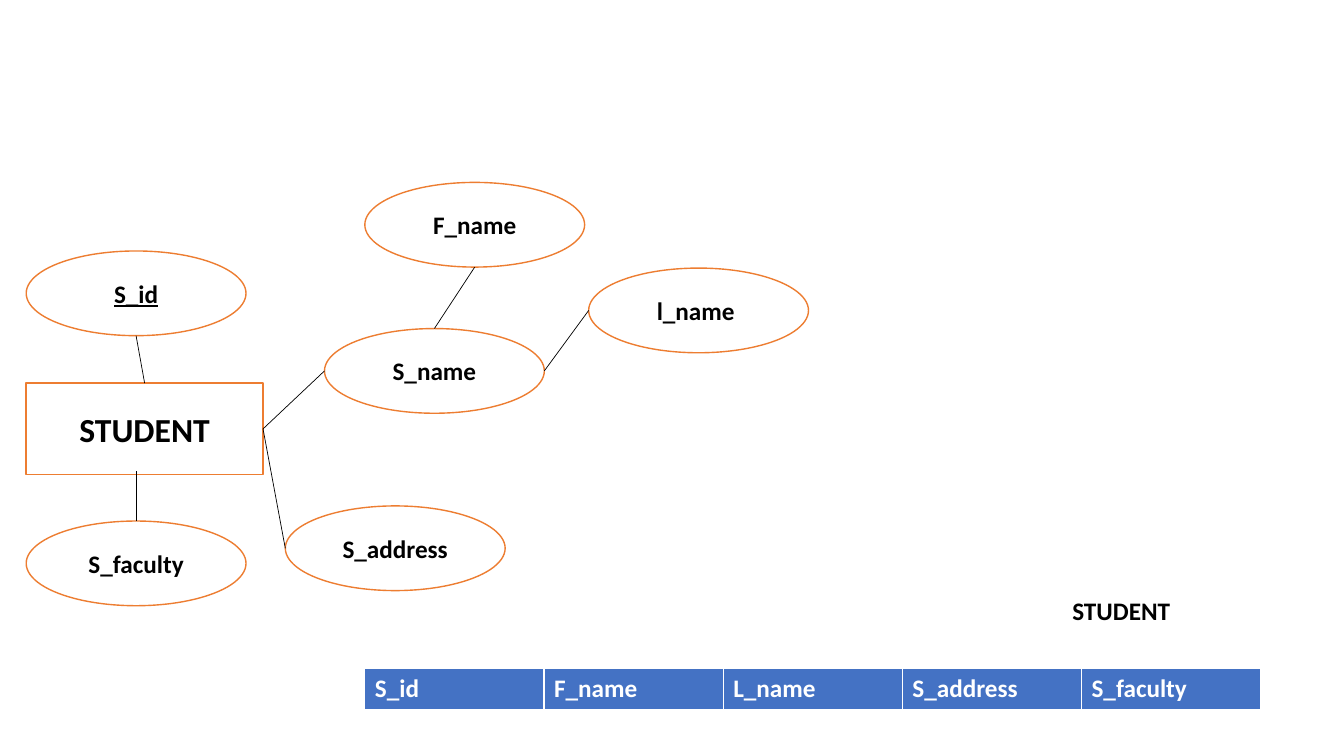
"""Build a slide with a STUDENT entity diagram and its relation table."""
from lxml.etree import SubElement
from pptx import Presentation
from pptx.dml.color import RGBColor
from pptx.enum.shapes import MSO_CONNECTOR, MSO_SHAPE
from pptx.enum.text import MSO_ANCHOR, MSO_AUTO_SIZE, PP_ALIGN
from pptx.oxml.ns import qn
from pptx.util import Pt

COLORS = {"black": "000000", "white": "FFFFFF", "orange": "ED7D31", "blue": "4472C4"}
FONT = "Calibri"
OVAL_W, OVAL_H = 157, 60.5
ATTRIBUTES = {
    "S_id": (18.7, 179.3),
    "S_name": (231.8, 234.7),
    "S_faculty": (18.7, 372.2),
    "S_address": (203.8, 361.4),
    "F_name": (260.6, 130.3),
    "l_name ": (420.5, 191.5),
}
COLUMNS = ["S_id", "F_name", "L_name", "S_address", "S_faculty"]
TOP, BOTTOM, LEFT, RIGHT = (0.5, 0), (0.5, 1), (0, 0.5), (1, 0.5)


def rgb(name):
    return RGBColor.from_string(COLORS[name])


def write(tf, text, size=18, color="black", align=None, underline=None):
    p = tf.paragraphs[0]
    p.text = text
    p.alignment = align
    for r in p.runs:
        r.font.name = FONT
        r.font.size = Pt(size)
        r.font.bold = True
        r.font.underline = underline
        r.font.color.rgb = rgb(color)


def add_node(s, kind, x, y, w, h, text, size=18, underline=None):
    sp = s.shapes.add_shape(kind, Pt(x), Pt(y), Pt(w), Pt(h))
    sp.shadow.inherit = False
    sp.fill.solid()
    sp.fill.fore_color.rgb = rgb("white")
    sp.line.color.rgb = rgb("orange")
    sp.line.width = Pt(1)
    tf = sp.text_frame
    tf.vertical_anchor = MSO_ANCHOR.MIDDLE
    write(tf, text, size, align=PP_ALIGN.CENTER, underline=underline)
    return sp


def side(sp, position):
    fx, fy = position
    return int(sp.left + sp.width * fx), int(sp.top + sp.height * fy)


def add_link(s, start, end):
    line = s.shapes.add_connector(MSO_CONNECTOR.STRAIGHT, *start, *end)
    line.line.color.rgb = rgb("black")
    line.line.width = Pt(0.5)
    SubElement(line._element.spPr, qn("a:effectLst"))


def add_label(s, x, y, w, h, text):
    tf = s.shapes.add_textbox(Pt(x), Pt(y), Pt(w), Pt(h)).text_frame
    tf.word_wrap = False
    tf.auto_size = MSO_AUTO_SIZE.SHAPE_TO_FIT_TEXT
    write(tf, text)


def add_relation(s, x, y, w, h, names):
    table = s.shapes.add_table(1, len(names), Pt(x), Pt(y), Pt(w), Pt(h)).table
    for cell, name in zip(table.rows[0].cells, names):
        cell.fill.solid()
        cell.fill.fore_color.rgb = rgb("blue")
        write(cell.text_frame, name, color="white")


def main():
    prs = Presentation()
    prs.slide_width, prs.slide_height = Pt(960), Pt(540)
    s = prs.slides.add_slide(prs.slide_layouts[6])

    student = add_node(s, MSO_SHAPE.RECTANGLE, 18.7, 273.6, 169.2, 65.5, "STUDENT", 24)
    ovals = {
        name.strip(): add_node(s, MSO_SHAPE.OVAL, x, y, OVAL_W, OVAL_H, name,
                               underline=name == "S_id" or None)
        for name, (x, y) in ATTRIBUTES.items()
    }

    faculty_x, faculty_y = side(ovals["S_faculty"], TOP)
    links = [
        (side(ovals["S_id"], BOTTOM), side(student, TOP)),
        (side(ovals["S_name"], LEFT), side(student, RIGHT)),
        (side(ovals["S_address"], LEFT), side(student, RIGHT)),
        ((faculty_x, faculty_y), (faculty_x, faculty_y - Pt(36))),
        (side(ovals["F_name"], BOTTOM), side(ovals["S_name"], TOP)),
        (side(ovals["l_name"], LEFT), side(ovals["S_name"], RIGHT)),
    ]
    for start, end in links:
        add_link(s, start, end)

    add_label(s, 758.9, 421.9, 85, 29, "STUDENT")
    add_relation(s, 260.6, 477.5, 640, 29.2, COLUMNS)
    prs.save("out.pptx")


if __name__ == "__main__":
    main()
